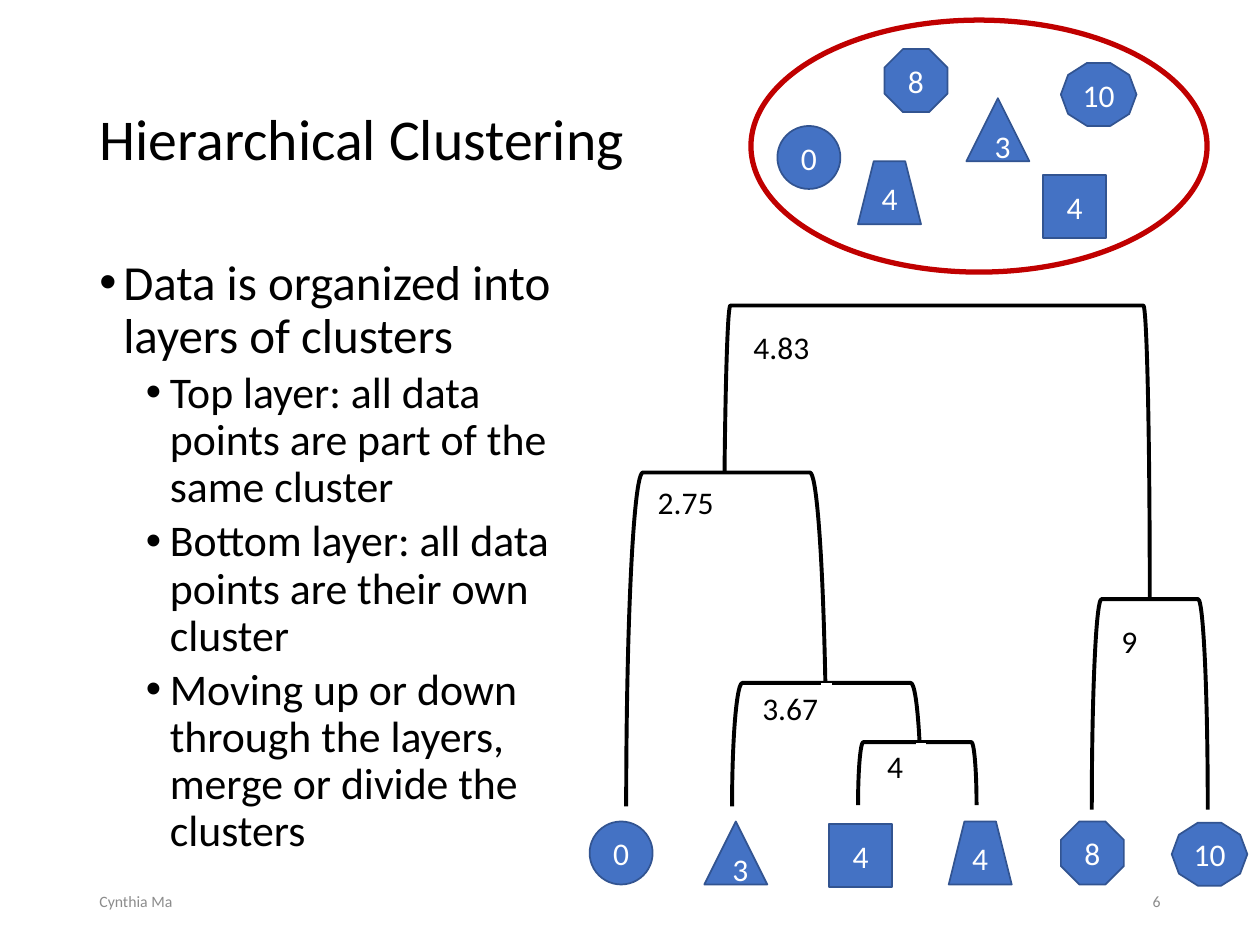
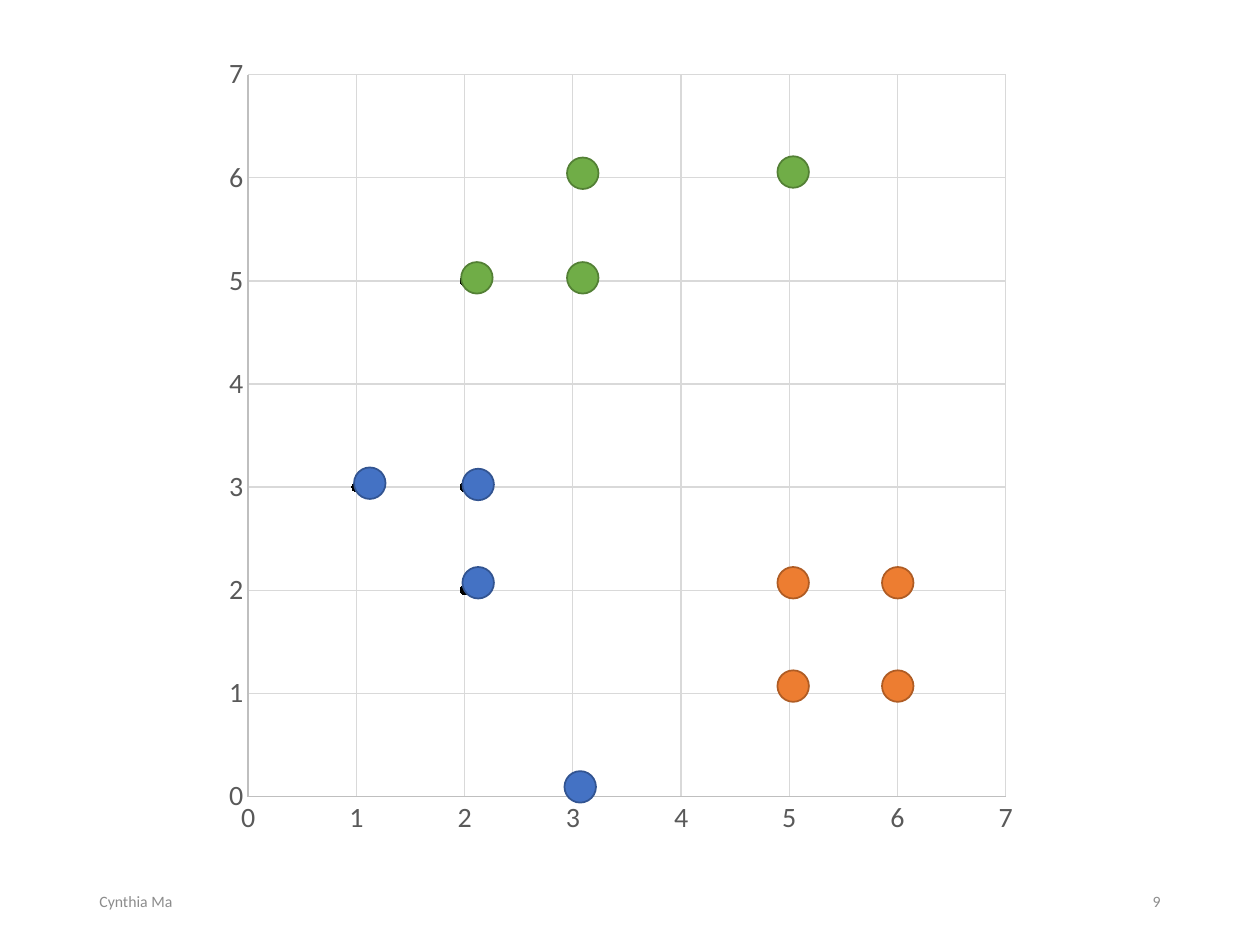
from dataclasses import dataclass
from typing import NamedTuple, Optional

from lxml import etree
from pptx import Presentation
from pptx.chart.data import XyChartData
from pptx.dml.color import RGBColor
from pptx.enum.chart import XL_CHART_TYPE, XL_MARKER_STYLE, XL_TICK_MARK
from pptx.enum.shapes import MSO_CONNECTOR, MSO_SHAPE
from pptx.enum.text import MSO_ANCHOR, PP_ALIGN
from pptx.oxml import parse_xml
from pptx.oxml.ns import nsdecls, qn
from pptx.util import Pt

PX = 9144  # EMU per px, 100 px to the inch
TITLE_ONLY, BLANK = 5, 6
LEFT, CENTER, RIGHT = PP_ALIGN.LEFT, PP_ALIGN.CENTER, PP_ALIGN.RIGHT
TOP, MIDDLE = MSO_ANCHOR.TOP, MSO_ANCHOR.MIDDLE
ELLIPSE, BRACKET = MSO_SHAPE.OVAL, MSO_SHAPE.LEFT_BRACKET
NO_TICKS = XL_TICK_MARK.NONE


@dataclass(frozen=True)
class Theme:
    font: str = "Calibri"
    ink: str = "000000"
    paper: str = "FFFFFF"
    muted: str = "8C8C8C"
    outline: str = "C00000"
    axis_text: str = "595959"
    axis_line: str = "BFBFBF"
    grid: str = "D9D9D9"
    title_size: int = 33
    topic_size: int = 28
    detail_size: int = 25
    label_size: int = 18
    axis_size: int = 16
    footer_size: int = 9


class Paint(NamedTuple):
    fill: str
    line: str


class Box(NamedTuple):
    left: int
    top: int
    width: int
    height: int

    def emu(self) -> list[int]:
        return [side * PX for side in self]


class DataPoint(NamedTuple):
    """A point as it stands in the cloud and as a leaf of the tree."""
    value: str
    geometry: MSO_SHAPE
    width: int
    cloud: tuple[int, int]
    leaf: tuple[int, int]


class Merge(NamedTuple):
    """A bracket of the tree; cut is where one leg (x, y) meets a lower bracket."""
    distance: str
    box: Box
    label: tuple[int, int]
    cut: Optional[tuple[int, int]] = None
    corner: float = 0.0833


class Bullet(NamedTuple):
    text: str
    level: int


class Cluster(NamedTuple):
    paint: Paint
    corners: list[tuple[int, int]]


THEME = Theme()
BLUE = Paint("4472C4", "325491")
ORANGE = Paint("ED7D31", "AF5C24")
GREEN = Paint("70AD47", "538035")

TITLE_BOX = Box(69, 40, 862, 145)
BULLET_BOX = Box(69, 200, 406, 495)
AUTHOR_BOX = Box(69, 695, 225, 40)
NUMBER_BOX = Box(706, 695, 225, 40)
CLOUD_BOX = Box(596, 16, 362, 200)
CHART_BOX = Box(169, 33, 648, 643)
POINT_HEIGHT, DOT_SIZE = 50, 25

BULLETS = [
    Bullet("Data is organized into layers of clusters", 0),
    Bullet("Top layer: all data points are part of the same cluster", 1),
    Bullet("Bottom layer: all data points are their own cluster", 1),
    Bullet("Moving up or down through the layers, merge or divide the clusters", 1),
]
DATA_POINTS = [
    DataPoint("0", ELLIPSE, 50, (617, 100), (468, 652)),
    DataPoint("3", MSO_SHAPE.ISOSCELES_TRIANGLE, 50, (767, 78), (559, 652)),
    DataPoint("4", MSO_SHAPE.RECTANGLE, 50, (828, 139), (658, 654)),
    DataPoint("4", MSO_SHAPE.TRAPEZOID, 50, (681, 128), (753, 652)),
    DataPoint("10", MSO_SHAPE.DECAGON, 60, (842, 50), (930, 653)),
    DataPoint("8", MSO_SHAPE.OCTAGON, 50, (702, 39), (842, 652)),
]
MERGES = [
    Merge("9", Box(867, 475, 92, 167), (890, 494)),
    Merge("4", Box(681, 589, 94, 50), (704, 593)),
    Merge("3.67", Box(581, 542, 150, 98), (605, 547), cut=(731, 590)),
    Merge("4.83", Box(575, 242, 338, 233), (598, 260), cut=(575, 375), corner=0.022),
    Merge("2.75", Box(497, 375, 159, 265), (522, 383), cut=(656, 542)),
]
SAMPLES = [(1, 3), (2, 3), (3, 6), (3, 5), (2, 2), (2, 5),
           (5, 6), (5, 1), (6, 2), (6, 1), (5, 2)]
CLUSTERS = [
    Cluster(BLUE, [(367, 450), (367, 372), (281, 371), (448, 612)]),
    Cluster(ORANGE, [(700, 450), (700, 532), (617, 450), (617, 532)]),
    Cluster(GREEN, [(366, 208), (450, 208), (450, 125), (617, 124)]),
]


def rgb(code: str) -> RGBColor:
    return RGBColor.from_string(code)


def write(paragraph, text: str, *, size: int, color: str = THEME.ink,
          align=LEFT, spacing: Optional[float] = None, before: float = 0) -> None:
    paragraph.alignment = align
    if spacing:
        paragraph.line_spacing = spacing
    if before:
        paragraph.space_before = Pt(before)
    run = paragraph.add_run()
    run.text = text
    run.font.name = THEME.font
    run.font.size = Pt(size)
    run.font.color.rgb = rgb(color)


def add_text_frame(slide, box: Box, anchor=MIDDLE):
    frame = slide.shapes.add_textbox(*box.emu()).text_frame
    frame.word_wrap = True
    frame.vertical_anchor = anchor
    return frame


def add_figure(slide, geometry, box: Box, line: str, *, weight: float = 1,
               fill: Optional[str] = None):
    figure = slide.shapes.add_shape(geometry, *box.emu())
    figure.shadow.inherit = False
    if fill:
        figure.fill.solid()
        figure.fill.fore_color.rgb = rgb(fill)
    else:
        figure.fill.background()
    figure.line.color.rgb = rgb(line)
    figure.line.width = Pt(weight)
    return figure


def add_footer(slide, number: int) -> None:
    for box, text, align in ((AUTHOR_BOX, "Cynthia Ma", LEFT),
                             (NUMBER_BOX, str(number), RIGHT)):
        write(add_text_frame(slide, box).paragraphs[0], text,
              size=THEME.footer_size, color=THEME.muted, align=align)


def add_title(slide, text: str) -> None:
    title = slide.shapes.title
    title.left, title.top, title.width, title.height = TITLE_BOX.emu()
    title.text_frame.vertical_anchor = MIDDLE
    write(title.text_frame.paragraphs[0], text, size=THEME.title_size, spacing=0.9)


def add_bullets(slide, bullets: list[Bullet]) -> None:
    frame = add_text_frame(slide, BULLET_BOX, TOP)
    for index, bullet in enumerate(bullets):
        paragraph = frame.add_paragraph() if index else frame.paragraphs[0]
        paragraph.level = bullet.level
        properties = paragraph._p.get_or_add_pPr()
        properties.set("marL", str((56 if bullet.level else 19) * PX))
        properties.set("indent", str(-19 * PX))
        etree.SubElement(properties, qn("a:buFont"), typeface="Arial")
        etree.SubElement(properties, qn("a:buChar"), char="•")
        write(paragraph, bullet.text, spacing=0.9, before=3.8 if index else 0,
              size=THEME.detail_size if bullet.level else THEME.topic_size)


def add_data_point(slide, point: DataPoint, corner: tuple[int, int]) -> None:
    figure = add_figure(slide, point.geometry, Box(*corner, point.width, POINT_HEIGHT),
                        BLUE.line, fill=BLUE.fill)
    figure.text_frame.vertical_anchor = MIDDLE
    write(figure.text_frame.paragraphs[0], point.value, size=THEME.label_size,
          color=THEME.paper, align=CENTER)


def add_merge(slide, merge: Merge) -> None:
    """Draw a bracket opening downward, shorten its cut leg and label it."""
    left, top, width, height = merge.box
    shift = (width - height) // 2
    bracket = add_figure(slide, BRACKET, Box(left + shift, top - shift, height, width),
                         THEME.ink, weight=2.25)
    bracket.rotation = 90
    bracket.adjustments[0] = merge.corner
    if merge.cut:
        x, y = merge.cut
        cover = slide.shapes.add_connector(MSO_CONNECTOR.STRAIGHT, x * PX, y * PX,
                                           x * PX, (top + height + 3) * PX)
        cover.line.color.rgb = rgb(THEME.paper)
        cover.line.width = Pt(6)
        etree.SubElement(cover._element.spPr, qn("a:effectLst"))
    label = add_text_frame(slide, Box(*merge.label, 60, 30))
    label.margin_left = label.margin_right = label.margin_top = label.margin_bottom = 0
    write(label.paragraphs[0], merge.distance, size=THEME.label_size)


def style_axis(axis) -> None:
    axis.minimum_scale, axis.maximum_scale, axis.major_unit = 0, 7, 1
    axis.major_tick_mark = axis.minor_tick_mark = NO_TICKS
    axis.has_title = False
    axis.has_major_gridlines = True
    for line, color in ((axis.format.line, THEME.axis_line),
                        (axis.major_gridlines.format.line, THEME.grid)):
        line.color.rgb = rgb(color)
        line.width = Pt(0.75)
    font = axis.tick_labels.font
    font.name, font.size = THEME.font, Pt(THEME.axis_size)
    font.color.rgb = rgb(THEME.axis_text)


def add_scatter(slide) -> None:
    data = XyChartData(number_format="General")
    samples = data.add_series("Series 1")
    for x, y in SAMPLES:
        samples.add_data_point(x, y)
    chart = slide.shapes.add_chart(XL_CHART_TYPE.XY_SCATTER, *CHART_BOX.emu(), data).chart
    chart.has_legend = chart.has_title = False
    chart.font.name, chart.font.size = THEME.font, Pt(10)
    chart.font.color.rgb = rgb(THEME.ink)
    plot = chart.plots[0]
    plot.vary_by_categories = False
    series = plot.series[0]
    series.smooth = False
    series.format.line.fill.background()
    series.marker.style, series.marker.size = XL_MARKER_STYLE.CIRCLE, 5
    for ink in (series.marker.format.fill, series.marker.format.line.fill):
        ink.solid()
        ink.fore_color.rgb = rgb(THEME.ink)
    for axis in (chart.category_axis, chart.value_axis):
        style_axis(axis)
    plot_area = chart._chartSpace.chart.plotArea
    for layout in plot_area.findall(qn("c:layout")):
        plot_area.remove(layout)
    places = "".join(f'<c:{tag} val="{value}"/>' for tag, value in (
        ("layoutTarget", "inner"), ("xMode", "edge"), ("yMode", "edge"),
        ("x", 0.043), ("y", 0.041), ("w", 0.928), ("h", 0.891)))
    plot_area.insert(0, parse_xml(f'<c:layout {nsdecls("c")}><c:manualLayout>{places}'
                                  '</c:manualLayout></c:layout>'))


def build_hierarchy_slide(deck) -> None:
    slide = deck.slides.add_slide(deck.slide_layouts[TITLE_ONLY])
    add_title(slide, "Hierarchical Clustering")
    add_bullets(slide, BULLETS)
    add_footer(slide, 6)
    add_figure(slide, ELLIPSE, CLOUD_BOX, THEME.outline, weight=3)
    for merge in MERGES:
        add_merge(slide, merge)
    for point in DATA_POINTS:
        add_data_point(slide, point, point.leaf)
        add_data_point(slide, point, point.cloud)


def build_scatter_slide(deck) -> None:
    slide = deck.slides.add_slide(deck.slide_layouts[BLANK])
    add_footer(slide, 9)
    add_scatter(slide)
    for cluster in CLUSTERS:
        for corner in cluster.corners:
            add_figure(slide, ELLIPSE, Box(*corner, DOT_SIZE, DOT_SIZE),
                       cluster.paint.line, fill=cluster.paint.fill)


def main() -> None:
    deck = Presentation()
    deck.slide_width, deck.slide_height = 1000 * PX, 750 * PX
    build_hierarchy_slide(deck)
    build_scatter_slide(deck)
    deck.save("out.pptx")


if __name__ == "__main__":
    main()
